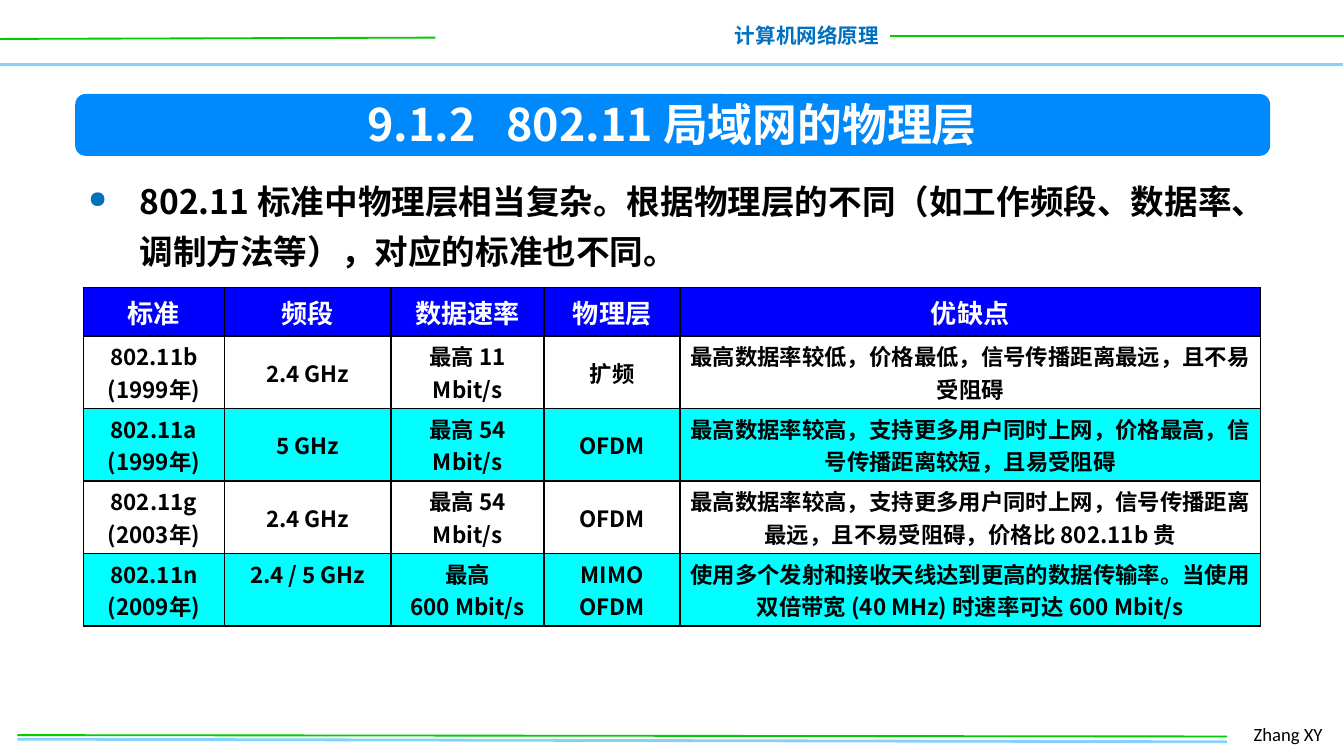
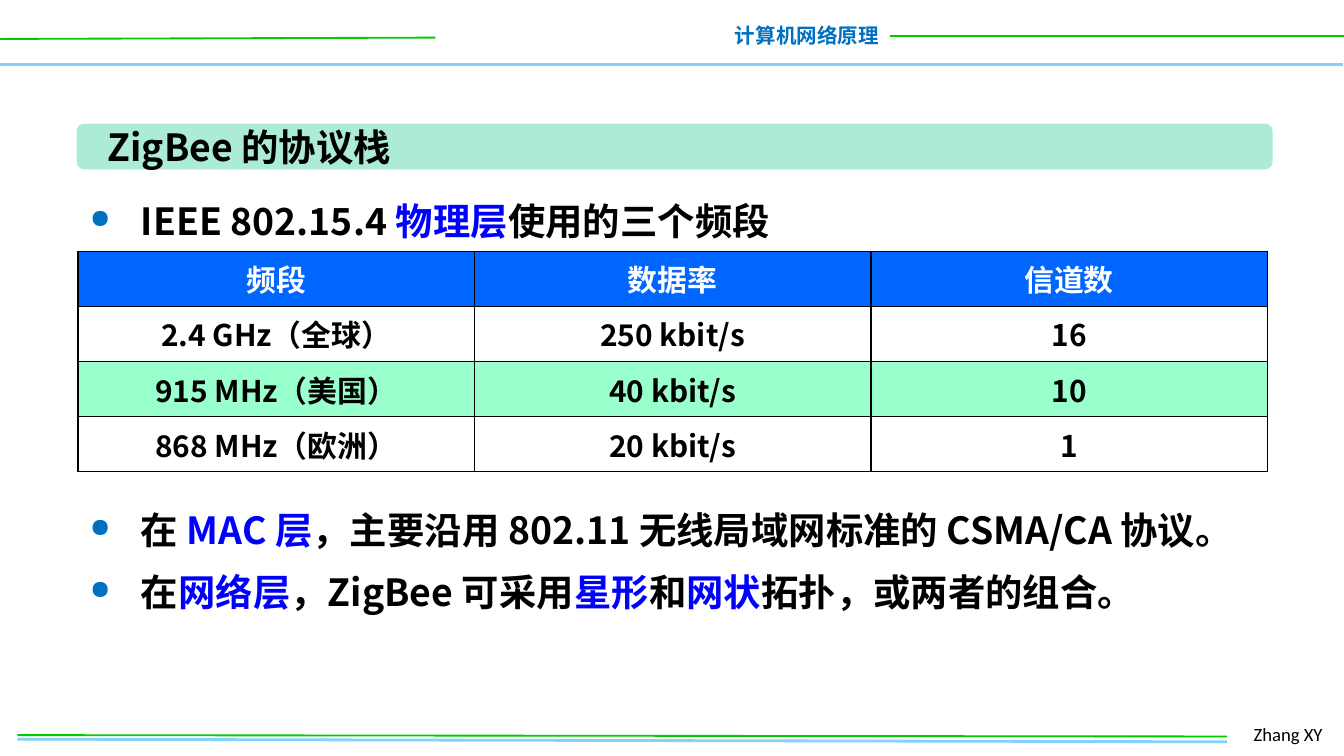
from lxml import etree
from pptx import Presentation
from pptx.dml.color import RGBColor
from pptx.enum.shapes import MSO_CONNECTOR, MSO_SHAPE
from pptx.enum.text import MSO_ANCHOR, MSO_AUTO_SIZE, PP_ALIGN
from pptx.oxml.ns import qn
from pptx.util import Inches, Pt

BLACK = RGBColor(0x00, 0x00, 0x00)
WHITE = RGBColor(0xFF, 0xFF, 0xFF)
GREEN = RGBColor(0x00, 0xCC, 0x00)
SKY = RGBColor(0x85, 0xD1, 0xF7)
COURSE_BLUE = RGBColor(0x00, 0x70, 0xC0)
BAND_BLUE = RGBColor(0x00, 0x89, 0xFA)
BAND_MINT = RGBColor(0xAB, 0xEB, 0xD7)
PURE_BLUE = RGBColor(0x00, 0x00, 0xFF)
HEAD_BLUE = RGBColor(0x00, 0x66, 0xFF)
CYAN = RGBColor(0x00, 0xFF, 0xFF)
MINT = RGBColor(0x99, 0xFF, 0xCC)

CJK_FONT = "Noto Sans CJK SC"
LATIN_FONT = "Calibri"
NO_BREAK = chr(160)  # keeps a number and its unit on one line

# Lines of header and footer: start, end, colour, width
FRAME_LINES = [
    ((-0.01, 0.48), (9.99, 0.48), SKY, 2),
    ((0, 0.29), (3.24, 0.28), GREEN, 1),
    ((6.62, 0.27), (10.01, 0.27), GREEN, 1),
    ((0.13, 5.5), (9.13, 5.52), SKY, 1.5),
    ((0.13, 5.47), (9.13, 5.48), GREEN, 1),
]

STANDARDS = [
    ["标准", "频段", "数据速率", "物理层", "优缺点"],
    ["802.11b\n(1999年)", "2.4 GHz", "最高 11 Mbit/s", "扩频",
     "最高数据率较低，价格最低，信号传播距离最远，且不易受阻碍"],
    ["802.11a\n(1999年)", "5 GHz", "最高 54 Mbit/s", "OFDM",
     "最高数据率较高，支持更多用户同时上网，价格最高，信号传播距离较短，且易受阻碍"],
    ["802.11g\n(2003年)", "2.4 GHz", "最高 54 Mbit/s", "OFDM",
     "最高数据率较高，支持更多用户同时上网，信号传播距离最远，且不易受阻碍，价格比 802.11b 贵"],
    ["802.11n\n(2009年)", f"2.4 / 5{NO_BREAK}GHz", f"最高600{NO_BREAK}Mbit/s",
     "MIMO\nOFDM",
     "使用多个发射和接收天线达到更高的数据传输率。当使用双倍带宽 (40 MHz) 时速率可达 600 Mbit/s"],
]

BANDS = [
    ["频段", "数据率", "信道数"],
    ["2.4 GHz（全球）", "250 kbit/s", "16"],
    ["915 MHz（美国）", "40 kbit/s", "10"],
    ["868 MHz（欧洲）", "20 kbit/s", "1"],
]


def add_run(paragraph, text, size, color=BLACK, bold=True, font=CJK_FONT, spacing=None):
    run = paragraph.add_run()
    run.text = text
    run.font.size = Pt(size)
    run.font.bold = bold
    run.font.color.rgb = color
    run.font.name = font
    properties = run.font._element
    east_asian = etree.Element(qn("a:ea"), typeface=font)
    properties.find(qn("a:latin")).addnext(east_asian)
    if spacing:
        properties.set("spc", str(int(spacing * 100)))


def add_line(slide, start, end, color, width):
    line = slide.shapes.add_connector(
        MSO_CONNECTOR.STRAIGHT, *(Inches(v) for v in start + end))
    line.line.color.rgb = color
    line.line.width = Pt(width)
    etree.SubElement(line._element.spPr, qn("a:effectLst"))


def add_text_box(slide, box, wrap=True, anchor=MSO_ANCHOR.TOP):
    frame = slide.shapes.add_textbox(*(Inches(v) for v in box)).text_frame
    frame.word_wrap = wrap
    frame.vertical_anchor = anchor
    return frame


def add_frame(slide):
    """Header and footer shared by the slides."""
    for line in FRAME_LINES:
        add_line(slide, *line)
    course = add_text_box(slide, (5.36, 0.12, 1.28, 0.29), False, MSO_ANCHOR.MIDDLE)
    course.paragraphs[0].alignment = PP_ALIGN.RIGHT
    add_run(course.paragraphs[0], "计算机网络原理", 11, COURSE_BLUE)
    author = add_text_box(slide, (9.23, 5.33, 0.78, 0.27), anchor=MSO_ANCHOR.MIDDLE)
    add_run(author.paragraphs[0], "Zhang XY", 10, bold=False, font=LATIN_FONT)


def add_title(slide, band_box, band_color, title_box, spans, size, color, align):
    """Rounded band with the slide title on it; spans are (text, spacing)."""
    band = slide.shapes.add_shape(
        MSO_SHAPE.ROUNDED_RECTANGLE, *(Inches(v) for v in band_box))
    band.shadow.inherit = False
    band.fill.solid()
    band.fill.fore_color.rgb = band_color
    band.line.fill.background()

    title = slide.shapes.title
    title.left, title.top, title.width, title.height = (Inches(v) for v in title_box)
    band._element.addnext(title._element)
    frame = title.text_frame
    frame.word_wrap = False
    frame.auto_size = MSO_AUTO_SIZE.NONE
    frame.vertical_anchor = MSO_ANCHOR.MIDDLE
    frame.paragraphs[0].alignment = align
    for text, spacing in spans:
        add_run(frame.paragraphs[0], text, size, color, spacing=spacing)


def add_bullets(slide, box, items, size, line_spacing):
    """Each item is a list of texts, in turn black and highlighted."""
    frame = add_text_box(slide, box)
    for i, texts in enumerate(items):
        paragraph = frame.add_paragraph() if i else frame.paragraphs[0]
        paragraph.line_spacing = Pt(line_spacing)
        properties = paragraph._p.get_or_add_pPr()
        properties.set("marL", str(Inches(0.38)))
        properties.set("indent", str(-Inches(0.38)))
        bullet_color = etree.SubElement(properties, qn("a:buClr"))
        etree.SubElement(bullet_color, qn("a:srgbClr"), val=str(COURSE_BLUE))
        etree.SubElement(properties, qn("a:buSzPct"), val="70000")
        etree.SubElement(properties, qn("a:buChar"), char="●")
        for j, text in enumerate(texts):
            add_run(paragraph, text, size, PURE_BLUE if j % 2 else BLACK)


def add_borders(cell):
    properties = cell._tc.get_or_add_tcPr()
    for i, side in enumerate(("a:lnL", "a:lnR", "a:lnT", "a:lnB")):
        border = etree.Element(qn(side), w=str(Pt(1)))
        fill = etree.SubElement(border, qn("a:solidFill"))
        etree.SubElement(fill, qn("a:srgbClr"), val=str(BLACK))
        properties.insert(i, border)


def fill_cell(cell, text, size, color, background, inset):
    cell.fill.solid()
    cell.fill.fore_color.rgb = background
    add_borders(cell)
    cell.margin_left = cell.margin_right = Inches(inset)
    cell.margin_top = cell.margin_bottom = 0
    cell.vertical_anchor = MSO_ANCHOR.MIDDLE
    frame = cell.text_frame
    for i, line in enumerate(text.split("\n")):
        paragraph = frame.add_paragraph() if i else frame.paragraphs[0]
        paragraph.alignment = PP_ALIGN.CENTER
        add_run(paragraph, line, size, color)


def add_grid(slide, position, widths, heights, data, sizes, head_color, stripe, inset):
    """Table with a coloured head row and every second body row striped."""
    table = slide.shapes.add_table(
        len(data), len(widths), *(Inches(v) for v in position),
        Inches(sum(widths)), Inches(sum(heights))).table
    table.first_row = table.horz_banding = False
    for column, width in zip(table.columns, widths):
        column.width = Inches(width)
    for r, (height, texts) in enumerate(zip(heights, data)):
        table.rows[r].height = Inches(height)
        if r == 0:
            size, color, background = sizes[0], WHITE, head_color
        else:
            size, color = sizes[1], BLACK
            background = WHITE if r % 2 else stripe
        for c, text in enumerate(texts):
            fill_cell(table.cell(r, c), text, size, color, background, inset)
    return table


def build_physical_layer(slide):
    add_frame(slide)
    add_title(slide, (0.56, 0.7, 8.89, 0.46), BAND_BLUE, (2.55, 0.67, 4.9, 0.5),
              [("9.1.2", None), (" ", 11), ("802.11 局域网的物理层", None)],
              24, WHITE, PP_ALIGN.CENTER)
    add_bullets(slide, (0.56, 1.22, 9.05, 0.86),
                [["802.11 标准中物理层相当复杂。根据物理层的不同"
                  "（如工作频段、数据率、调制方法等），对应的标准也不同。"]], 18, 27)
    standards = add_grid(slide, (0.62, 2.14), [1.05, 1.24, 1.14, 1.01, 4.32],
                         [0.36] + [0.54] * 4, STANDARDS, (14, 12),
                         PURE_BLUE, CYAN, 0.05)
    dual_band = standards.cell(4, 1)
    dual_band.vertical_anchor = MSO_ANCHOR.TOP
    dual_band.margin_top = Inches(0.03)


def build_zigbee(slide):
    add_frame(slide)
    add_title(slide, (0.57, 0.92, 8.9, 0.34), BAND_MINT, (0.7, 0.87, 2.46, 0.44),
              [("ZigBee 的协议栈", None)], 20, BLACK, PP_ALIGN.LEFT)
    add_bullets(slide, (0.57, 1.3, 9.04, 0.56),
                [["IEEE 802.15.4 ", "物理层", "使用的三个频段"]], 20, 33)
    add_bullets(slide, (0.57, 3.6, 9.17, 1.03), [
        ["在 ", "MAC 层", "，主要沿用 802.11 无线局域网标准的 CSMA/CA 协议。"],
        ["在", "网络层", "，ZigBee 可采用", "星形", "和", "网状", "拓扑，或两者的组合。"],
    ], 20, 33)
    add_grid(slide, (0.58, 1.87), [2.95] * 3, [0.41] * 4, BANDS, (16, 16),
             HEAD_BLUE, MINT, 0.07)


def main():
    deck = Presentation()
    deck.slide_width = Inches(10)
    deck.slide_height = deck.slide_width * 9 // 16
    title_only = deck.slide_layouts[5]
    for build in (build_physical_layer, build_zigbee):
        build(deck.slides.add_slide(title_only))
    deck.save("out.pptx")


if __name__ == "__main__":
    main()
